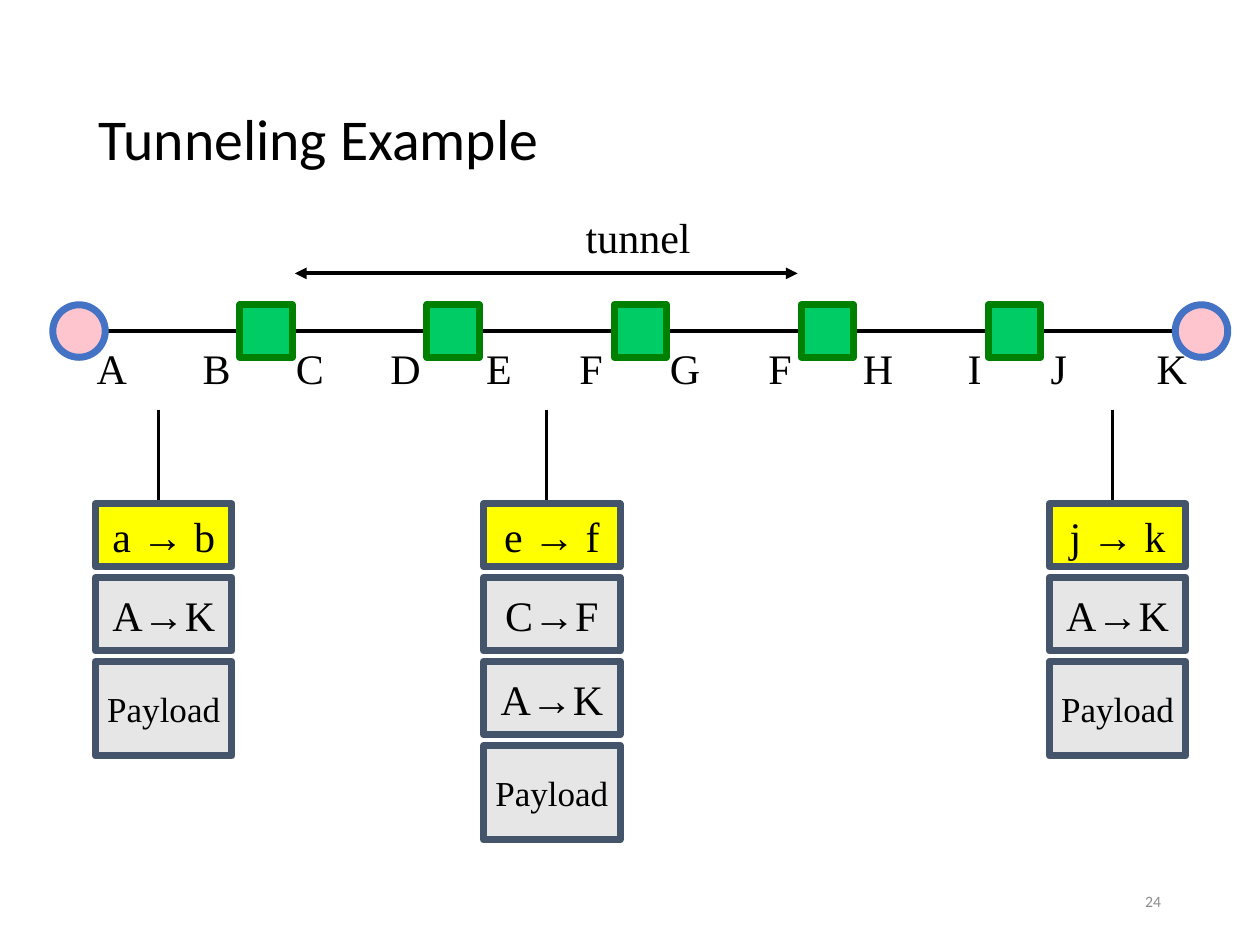
"""Build the tunneling example slide: a chain of nodes with packet stacks below."""
from typing import NamedTuple

from lxml.etree import SubElement
from pptx import Presentation
from pptx.dml.color import RGBColor
from pptx.enum.shapes import MSO_CONNECTOR, MSO_SHAPE
from pptx.enum.text import MSO_ANCHOR as Anchor, MSO_AUTO_SIZE as AutoSize, PP_ALIGN as Align
from pptx.oxml.ns import qn
from pptx.util import Pt

SERIF, SANS = "Times New Roman", "Calibri"
BLACK, YELLOW, GREY, SLATE = "000000", "FFFF00", "E7E6E6", "44546A"
NODE_LEFT, NODE_TOP, NODE_SIZE, NODE_PITCH = 30.2, 174.2, 30, 106.9
STACK_TOP, STACK_WIDTH, STACK_GAP = 288, 78, 6
HEADER_HEIGHT, ADDRESS_HEIGHT, PAYLOAD_HEIGHT = 36, 42, 54


class NodeStyle(NamedTuple):
    shape: MSO_SHAPE
    fill: str
    line: str


class Label(NamedTuple):
    text: str
    left: float
    width: float
    top: float = 192.2


class Packet(NamedTuple):
    left: float
    header: str
    addresses: tuple[str, ...]


HOST = NodeStyle(MSO_SHAPE.OVAL, "FFC5CF", "4472C4")
ROUTER = NodeStyle(MSO_SHAPE.RECTANGLE, "00CC66", "008000")
NODES = [HOST, *[ROUTER] * 5, HOST]
LABELS = [
    Label("A", 48.2, 31.7), Label("B", 108.7, 30.2), Label("C", 162, 30.2),
    Label("D", 216, 31.7), Label("E", 270.7, 28.8), Label("F", 324, 28.1),
    Label("G", 375.8, 31.7), Label("F", 432, 28.1), Label("H", 486, 31.7),
    Label("I", 545.8, 22.3), Label("J", 593.3, 23.8), Label("K", 653.8, 31.7),
    Label("tunnel", 327.6, 74.2, 117.4),
]
PACKETS = [
    Packet(54.6, "a → b", ("A→K",)),
    Packet(276.4, "e → f", ("C→F", "A→K")),
    Packet(599.6, "j → k", ("A→K",)),
]


def color(value: str) -> RGBColor:
    return RGBColor.from_string(value)


def write(box, text: str, size: float, font: str = SERIF, ink: str = BLACK,
          align: Align = Align.LEFT, anchor: Anchor = Anchor.MIDDLE, wrap: bool = False) -> None:
    frame = box.text_frame
    frame.text = text
    frame.word_wrap = wrap
    frame.vertical_anchor = anchor
    para = frame.paragraphs[0]
    para.alignment = align
    span = para.runs[0]
    span.font.size = Pt(size)
    span.font.name = font
    span.font.color.rgb = color(ink)


def add_box(shapes, kind: MSO_SHAPE, left: float, top: float, width: float, height: float,
            fill: str, line: str):
    box = shapes.add_shape(kind, Pt(left), Pt(top), Pt(width), Pt(height))
    box.shadow.inherit = False
    box.fill.solid()
    box.fill.fore_color.rgb = color(fill)
    box.line.color.rgb = color(line)
    box.line.width = Pt(4)
    return box


def add_line(shapes, start: tuple[float, float], end: tuple[float, float], weight: float,
             arrows: tuple[str, ...] = ()) -> None:
    line = shapes.add_connector(MSO_CONNECTOR.STRAIGHT, *map(Pt, start + end))
    line.line.color.rgb = color(BLACK)
    line.line.width = Pt(weight)
    properties = line._element.spPr
    for arrow in arrows:
        SubElement(properties.find(qn("a:ln")), qn(f"a:{arrow}"), type="triangle")
    SubElement(properties, qn("a:effectLst"))


def add_label(shapes, label: Label) -> None:
    box = shapes.add_textbox(Pt(label.left), Pt(label.top), Pt(label.width), Pt(36))
    write(box, label.text, 24, anchor=Anchor.TOP)
    box.text_frame.auto_size = AutoSize.SHAPE_TO_FIT_TEXT


def add_cell(shapes, text: str, left: float, top: float, height: float,
             fill: str = GREY, size: float = 24) -> float:
    box = add_box(shapes, MSO_SHAPE.RECTANGLE, left, top, STACK_WIDTH, height, fill, SLATE)
    write(box, text, size, align=Align.CENTER)
    return top + height + STACK_GAP


def add_packet(shapes, packet: Packet) -> None:
    middle = packet.left + 36
    add_line(shapes, (middle, 234), (middle, STACK_TOP + HEADER_HEIGHT), 1.5, ("tailEnd",))
    top = add_cell(shapes, packet.header, packet.left, STACK_TOP, HEADER_HEIGHT, YELLOW)
    body = shapes.add_group_shape().shapes
    for address in packet.addresses:
        top = add_cell(body, address, packet.left, top, ADDRESS_HEIGHT)
    add_cell(body, "Payload", packet.left, top, PAYLOAD_HEIGHT, size=20)


def main() -> None:
    deck = Presentation()
    deck.slide_width, deck.slide_height = Pt(720), Pt(540)
    page = deck.slides.add_slide(deck.slide_layouts[6])
    shapes = page.shapes

    add_line(shapes, (42.5, 189.4), (689.8, 189.4), 2.25)
    title = shapes.add_textbox(Pt(49.5), Pt(28.8), Pt(621), Pt(104.4))
    write(title, "Tunneling Example", 33, SANS, wrap=True)
    title.text_frame.paragraphs[0].line_spacing = 0.9
    number = shapes.add_textbox(Pt(508.5), Pt(500.5), Pt(162), Pt(28.8))
    write(number, "24", 9, SANS, "8C8C8C", Align.RIGHT, wrap=True)

    for index, node in enumerate(NODES):
        add_box(shapes, node.shape, NODE_LEFT + index * NODE_PITCH, NODE_TOP,
                NODE_SIZE, NODE_SIZE, node.fill, node.line)
    add_line(shapes, (168.5, 156.2), (455.8, 156.2), 2.25, ("headEnd", "tailEnd"))
    for label in LABELS:
        add_label(shapes, label)
    for packet in PACKETS:
        add_packet(shapes, packet)

    deck.save("out.pptx")


if __name__ == "__main__":
    main()
